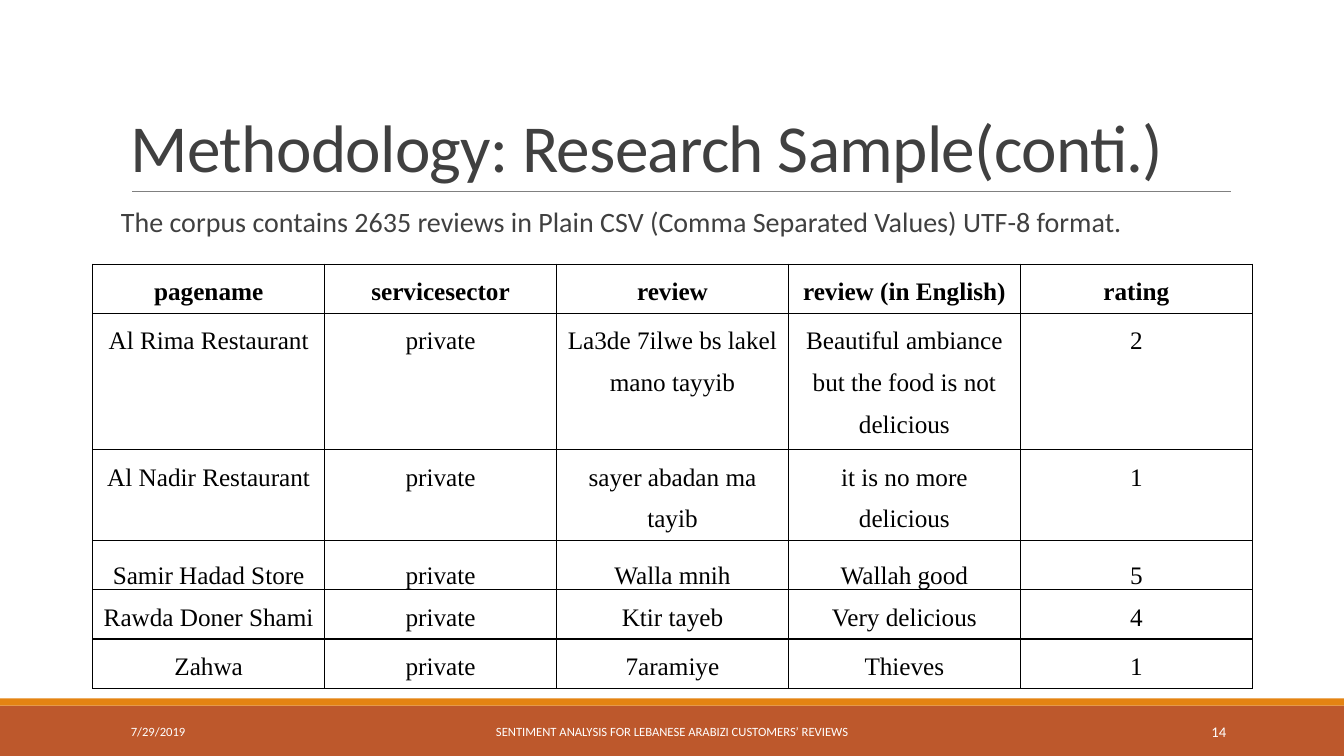
from dataclasses import dataclass, field
from typing import Any

import lxml.etree
import pptx
import pptx.dml.color
import pptx.enum.shapes
import pptx.enum.text
import pptx.oxml.ns
import pptx.util

EMU_PER_PX = 9144
Align = pptx.enum.text.PP_ALIGN
Anchor = pptx.enum.text.MSO_ANCHOR
qn = pptx.oxml.ns.qn


@dataclass(frozen=True)
class Theme:
    sans: str = "Calibri"
    serif: str = "Times New Roman"
    text: str = "404040"
    white: str = "FFFFFF"
    black: str = "000000"
    rule: str = "808080"
    footer_band: str = "BD582C"
    accent_band: str = "E48312"
    title_size: float = 48
    body_size: float = 20
    table_size: float = 18
    footer_size: float = 9
    number_size: float = 10.5


THEME = Theme()


@dataclass(frozen=True)
class Box:
    left: int
    top: int
    width: int
    height: int


@dataclass(frozen=True)
class Band:
    box: Box
    color: str


@dataclass(frozen=True)
class Label:
    box: Box
    text: str
    size: float
    color: str
    anchor: Any = Anchor.MIDDLE
    side_inset: int = 10
    tracking: int = 0
    paragraph_format: dict[str, Any] = field(default_factory=dict)


BANDS = [
    Band(Box(0, 700, 1333, 50), THEME.footer_band),
    Band(Box(0, 693, 1333, 7), THEME.accent_band),
]

LABELS = [
    Label(Box(120, 31, 1100, 159), "Methodology: Research Sample(conti.)",
          THEME.title_size, THEME.text, Anchor.BOTTOM, tracking=-50,
          paragraph_format={"line_spacing": 0.85}),
    Label(Box(120, 202, 1100, 440),
          "The corpus contains 2635 reviews in Plain CSV (Comma Separated Values) UTF-8 format.",
          THEME.body_size, THEME.text, Anchor.TOP, side_inset=0,
          paragraph_format={"line_spacing": 0.9, "space_before": pptx.util.Pt(12),
                            "space_after": pptx.util.Pt(2)}),
    Label(Box(120, 706, 270, 40), "7/29/2019", THEME.footer_size, THEME.white),
    Label(Box(403, 706, 527, 40),
          "SENTIMENT ANALYSIS FOR LEBANESE ARABIZI CUSTOMERS’ REVIEWS",
          THEME.footer_size, THEME.white, paragraph_format={"alignment": Align.CENTER}),
    Label(Box(1083, 706, 143, 40), "14", THEME.number_size, THEME.white,
          paragraph_format={"alignment": Align.RIGHT}),
]

REVIEWS = [
    ("pagename", "servicesector", "review", "review (in English)", "rating"),
    ("Al Rima Restaurant", "private", "La3de 7ilwe bs lakel mano tayyib",
     "Beautiful ambiance but the food is not delicious", "2"),
    ("Al Nadir Restaurant", "private", "sayer abadan ma tayib",
     "it is no more delicious", "1"),
    ("Samir Hadad Store", "private", "Walla mnih", "Wallah good", "5"),
    ("Rawda Doner Shami", "private", "Ktir tayeb", "Very delicious", "4"),
    ("Zahwa", "private", "7aramiye", "Thieves", "1"),
]
ROW_HEIGHTS = [49, 125, 83, 49, 49, 49]
TABLE_BOX = Box(92, 262, 1150, sum(ROW_HEIGHTS))
BOTTOM_ANCHORED_ROW = 3


def px(length: int) -> int:
    return pptx.util.Emu(length * EMU_PER_PX)


def place(box: Box) -> tuple[int, int, int, int]:
    return px(box.left), px(box.top), px(box.width), px(box.height)


def rgb(color: str) -> pptx.dml.color.RGBColor:
    return pptx.dml.color.RGBColor.from_string(color)


def apply_format(target: Any, values: dict[str, Any]) -> None:
    for name, value in values.items():
        setattr(target, name, value)


def write_text(paragraph: Any, text: str, color: str, font_format: dict[str, Any],
               paragraph_format: dict[str, Any]) -> Any:
    apply_format(paragraph, paragraph_format)
    run = paragraph.add_run()
    run.text = text
    apply_format(run.font, font_format)
    run.font.color.rgb = rgb(color)
    return run


def draw_band(slide: Any, band: Band) -> None:
    shape = slide.shapes.add_shape(pptx.enum.shapes.MSO_SHAPE.RECTANGLE, *place(band.box))
    shape.shadow.inherit = False
    shape.fill.solid()
    shape.fill.fore_color.rgb = rgb(band.color)
    shape.line.fill.background()


def draw_title_rule(slide: Any) -> None:
    connector = slide.shapes.add_connector(
        pptx.enum.shapes.MSO_CONNECTOR.STRAIGHT, px(131), px(190), px(1221), px(190))
    connector.line.color.rgb = rgb(THEME.rule)
    connector.line.width = pptx.util.Pt(0.5)
    lxml.etree.SubElement(connector._element.spPr, qn("a:effectLst"))


def draw_label(slide: Any, label: Label) -> None:
    text_frame = slide.shapes.add_textbox(*place(label.box)).text_frame
    apply_format(text_frame, {
        "word_wrap": True, "vertical_anchor": label.anchor,
        "margin_left": px(label.side_inset), "margin_right": px(label.side_inset),
        "margin_top": px(5), "margin_bottom": px(5)})
    run = write_text(text_frame.paragraphs[0], label.text, label.color,
                     {"name": THEME.sans, "size": pptx.util.Pt(label.size)},
                     label.paragraph_format)
    if label.tracking:
        run._r.get_or_add_rPr().set("spc", str(label.tracking))


def draw_cell_borders(cell: Any) -> None:
    properties = cell._tc.get_or_add_tcPr()
    for side in ("lnL", "lnR", "lnT", "lnB"):
        border = lxml.etree.SubElement(properties, qn(f"a:{side}"), w=str(pptx.util.Pt(1)))
        fill = lxml.etree.SubElement(border, qn("a:solidFill"))
        lxml.etree.SubElement(fill, qn("a:srgbClr"), val=THEME.black)


def draw_review_table(slide: Any) -> None:
    column_count = len(REVIEWS[0])
    table = slide.shapes.add_table(len(REVIEWS), column_count, *place(TABLE_BOX)).table
    apply_format(table, {"first_row": False, "horz_banding": False})
    for column in table.columns:
        column.width = px(TABLE_BOX.width // column_count)
    for row_index, (values, height) in enumerate(zip(REVIEWS, ROW_HEIGHTS)):
        table.rows[row_index].height = px(height)
        anchor = Anchor.BOTTOM if row_index == BOTTOM_ANCHORED_ROW else Anchor.TOP
        for column_index, text in enumerate(values):
            cell = table.cell(row_index, column_index)
            apply_format(cell, {
                "margin_left": px(7), "margin_right": px(7), "margin_top": 0,
                "margin_bottom": 0, "vertical_anchor": anchor})
            draw_cell_borders(cell)
            cell.fill.background()
            write_text(cell.text_frame.paragraphs[0], text, THEME.black,
                       {"name": THEME.serif, "size": pptx.util.Pt(THEME.table_size),
                        "bold": row_index == 0},
                       {"alignment": Align.CENTER, "line_spacing": 1.5,
                        "space_after": pptx.util.Pt(0)})


def main() -> None:
    presentation = pptx.Presentation()
    apply_format(presentation, {"slide_width": px(1333), "slide_height": px(750)})
    slide = presentation.slides.add_slide(presentation.slide_layouts[6])
    for band in BANDS:
        draw_band(slide, band)
    draw_title_rule(slide)
    for label in LABELS:
        draw_label(slide, label)
    draw_review_table(slide)
    presentation.save("out.pptx")


if __name__ == "__main__":
    main()
